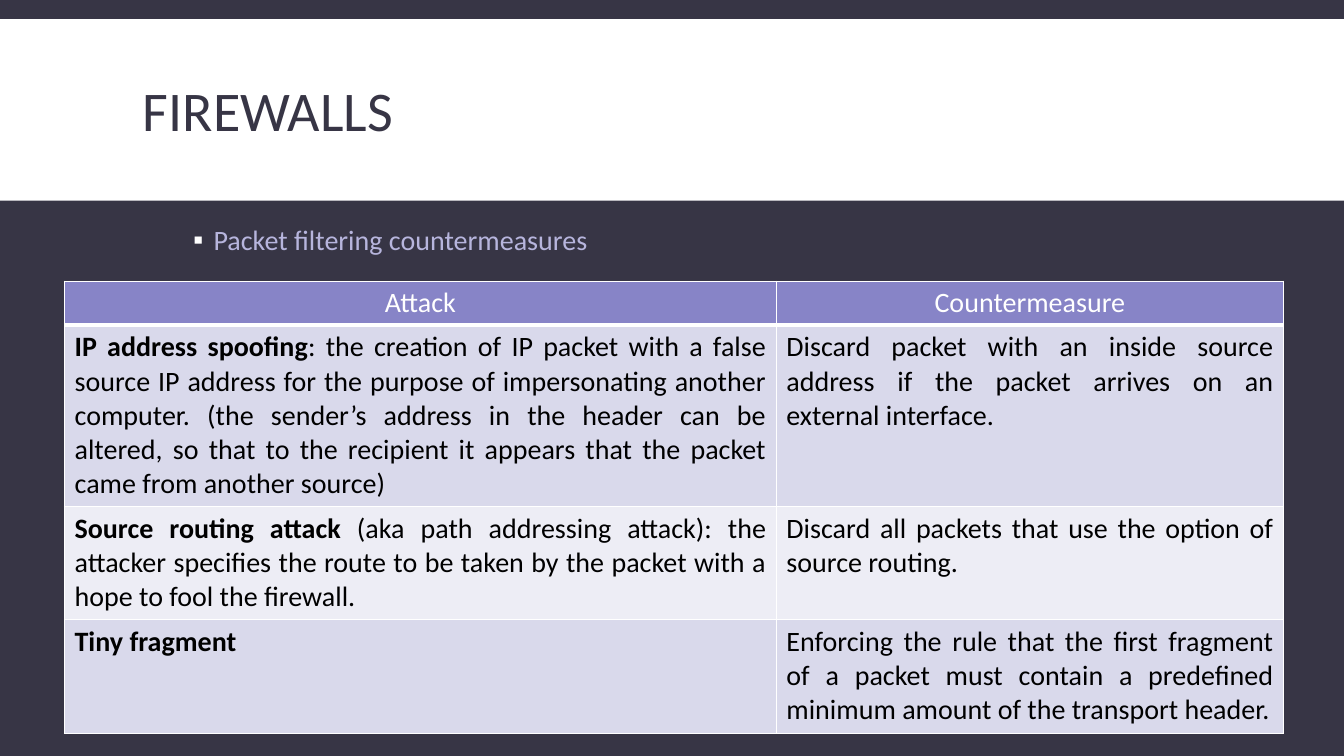
from lxml import etree
from pptx import Presentation
from pptx.dml.color import RGBColor
from pptx.enum import shapes, text
from pptx.oxml import ns
from pptx.util import Inches, Pt

# Content: each table cell is a list of (wording, bold) runs
HEADING = "FIREWALLS"
TOPIC = "Packet filtering countermeasures"
HEADERS = ["Attack", "Countermeasure"]
ATTACKS = [
    ([("IP address spoofing", True),
      (": the creation of IP packet with a false source IP address for the "
       "purpose of impersonating another computer. (the sender’s address in "
       "the header can be altered, so that to the recipient it appears that "
       "the packet came from another source)", False)],
     [("Discard packet with an inside source address if the packet arrives "
       "on an external interface.", False)]),
    ([("Source routing attack ", True),
      ("(aka path addressing attack): the attacker specifies the route to be "
       "taken by the packet with a hope to fool the firewall.", False)],
     [("Discard all packets that use the option of source routing.", False)]),
    ([("Tiny fragment", True)],
     [("Enforcing the rule that the first fragment of a packet must contain a "
       "predefined minimum amount of the transport header.", False)]),
]

# Layout and colours
COLUMN_WIDTHS = [7.06, 5.03]
ROW_HEIGHTS = [0.43, 1.8, 1.12, 1.13]
DARK, WHITE, BLACK, LILAC = "373545", "FFFFFF", "000000", "B7B5DD"
HEADER_FILL, BAND_FILLS = "8784C7", ["D9D9EB", "EDEDF5"]


def color(value):
    return RGBColor.from_string(value)


def paint(target, value):
    target.fill.solid()
    target.fill.fore_color.rgb = color(value)


def add_run(paragraph, wording, size, ink, bold=False):
    run = paragraph.add_run()
    run.text = wording
    for name, value in {"name": "Calibri", "size": Pt(size), "bold": bold}.items():
        setattr(run.font, name, value)
    run.font.color.rgb = color(ink)


def add_text_area(slide, left, top, width, height, anchor, line_spacing):
    frame = slide.shapes.add_textbox(
        *map(Inches, (left, top, width, height))).text_frame
    frame.word_wrap = True
    frame.vertical_anchor = anchor
    frame.paragraphs[0].line_spacing = line_spacing
    return frame.paragraphs[0]


def add_bullet(paragraph, mark, ink, margin, indent):
    props = paragraph._p.get_or_add_pPr()
    props.set("marL", str(Inches(margin)))
    props.set("indent", str(Inches(indent)))
    bullet_color = etree.SubElement(props, ns.qn("a:buClr"))
    etree.SubElement(bullet_color, ns.qn("a:srgbClr"), val=ink)
    etree.SubElement(props, ns.qn("a:buFont"), typeface="Calibri")
    etree.SubElement(props, ns.qn("a:buChar"), char=mark)


def add_borders(cell, widths):
    props = cell._tc.get_or_add_tcPr()
    for position, (side, width) in enumerate(widths.items()):
        line = etree.Element(ns.qn(f"a:ln{side}"), w=str(Pt(width)))
        fill = etree.SubElement(line, ns.qn("a:solidFill"))
        etree.SubElement(fill, ns.qn("a:srgbClr"), val=WHITE)
        props.insert(position, line)


def add_attack_table(slide):
    rows = [[[(header, False)] for header in HEADERS], *ATTACKS]
    table = slide.shapes.add_table(
        len(rows), len(HEADERS), Inches(0.64), Inches(2.79),
        Inches(sum(COLUMN_WIDTHS)), Inches(sum(ROW_HEIGHTS))).table
    for column, width in zip(table.columns, COLUMN_WIDTHS):
        column.width = Inches(width)
    for row, height in zip(table.rows, ROW_HEIGHTS):
        row.height = Inches(height)

    for r, row in enumerate(rows):
        is_header = r == 0
        for c, runs in enumerate(row):
            cell = table.cell(r, c)
            paint(cell, HEADER_FILL if is_header else BAND_FILLS[(r - 1) % 2])
            add_borders(cell, {"L": 1, "R": 1, "T": 3 if r == 1 else 1,
                               "B": 3 if is_header else 1})
            paragraph = cell.text_frame.paragraphs[0]
            paragraph.alignment = (text.PP_ALIGN.CENTER if is_header
                                   else text.PP_ALIGN.JUSTIFY)
            for wording, bold in runs:
                add_run(paragraph, wording, 20, WHITE if is_header else BLACK, bold)


def main():
    deck = Presentation()
    deck.slide_width, deck.slide_height = Inches(13.33), Inches(7.5)
    slide = deck.slides.add_slide(deck.slide_layouts[6])
    paint(slide.background, DARK)

    # Title band
    band = slide.shapes.add_shape(shapes.MSO_SHAPE.RECTANGLE, 0, Inches(0.19),
                                  deck.slide_width, Inches(1.8))
    paint(band, WHITE)
    band.line.fill.background()
    band.shadow.inherit = False
    heading = add_text_area(slide, 1.32, 0.31, 10.7, 1.65,
                            text.MSO_ANCHOR.MIDDLE, 0.85)
    add_run(heading, HEADING, 40, DARK)

    # Topic bullet
    topic = add_text_area(slide, 1.32, 2.2, 10.7, 0.5, text.MSO_ANCHOR.TOP, 0.9)
    topic.space_before, topic.space_after = Pt(2), Pt(4)
    add_bullet(topic, "▪", WHITE, 0.7, -0.2)
    add_run(topic, TOPIC, 20, LILAC)

    add_attack_table(slide)
    deck.save("out.pptx")


if __name__ == "__main__":
    main()
